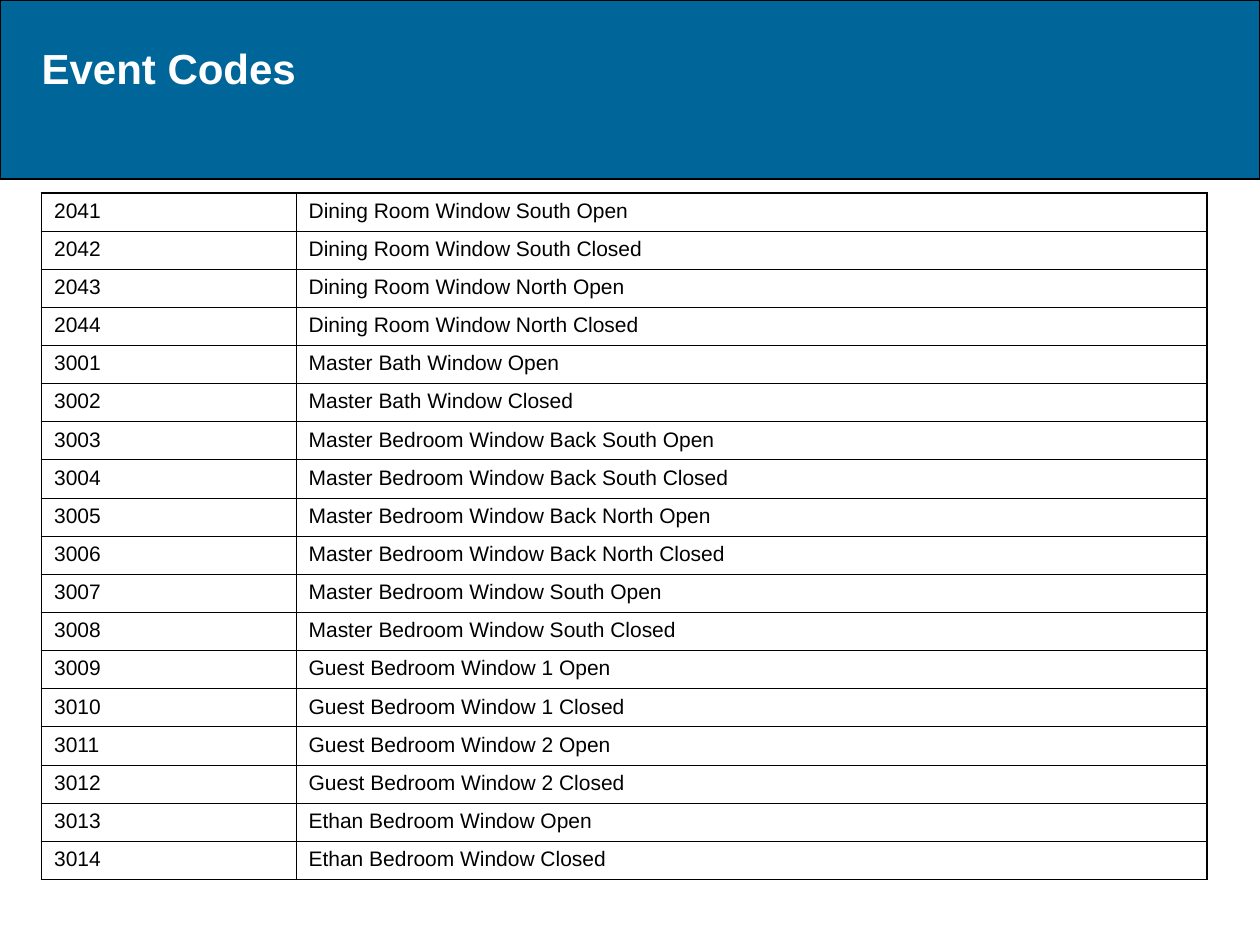
from lxml import etree
from pptx import Presentation
from pptx.dml.color import RGBColor
from pptx.enum.shapes import MSO_SHAPE
from pptx.enum.text import MSO_ANCHOR, MSO_AUTO_SIZE, PP_ALIGN
from pptx.oxml.ns import qn
from pptx.util import Inches, Pt

RECTANGLE = MSO_SHAPE.RECTANGLE
TOP = MSO_ANCHOR.TOP
NO_AUTOFIT = MSO_AUTO_SIZE.NONE
LEFT = PP_ALIGN.LEFT
TITLE_ONLY = 5

WIDTH, HEIGHT = 10, 7.5
ROW_HEIGHT = 0.303
COLUMN_WIDTHS = (2.02, 7.23)

ROOM_WINDOWS = (
    (2041, "Dining Room Window South"),
    (2043, "Dining Room Window North"),
    (3001, "Master Bath Window"),
    (3003, "Master Bedroom Window Back South"),
    (3005, "Master Bedroom Window Back North"),
    (3007, "Master Bedroom Window South"),
    (3009, "Guest Bedroom Window 1"),
    (3011, "Guest Bedroom Window 2"),
    (3013, "Ethan Bedroom Window"),
)
EVENTS = [
    (str(code + offset), f"{window} {state}")
    for code, window in ROOM_WINDOWS
    for offset, state in enumerate(("Open", "Closed"))
]


def color(value):
    return RGBColor.from_string(value)


class SlideBuilder:
    font_name = "Arial"
    black = "000000"
    white = "FFFFFF"
    blue = "006699"
    thick, thin = 1.08, 0.45

    def __init__(self, presentation):
        self.presentation = presentation
        self.slide = presentation.slides.add_slide(
            presentation.slide_layouts[TITLE_ONLY]
        )

    def box(self, left, top, width, height):
        slide_width = self.presentation.slide_width
        slide_height = self.presentation.slide_height
        return (
            round(left * slide_width),
            round(top * slide_height),
            round(width * slide_width),
            round(height * slide_height),
        )

    def style(self, paragraph, size, value, bold=False):
        paragraph.alignment = LEFT
        font = paragraph.font
        font.name, font.size, font.bold = self.font_name, Pt(size), bold
        font.color.rgb = color(value)

    def title(self, text, left, top, width, height):
        shape = self.slide.shapes.title
        shape.left, shape.top, shape.width, shape.height = self.box(
            left, top, width, height
        )
        frame = shape.text_frame
        frame.text = text
        frame.word_wrap = True
        frame.auto_size = NO_AUTOFIT
        frame.vertical_anchor = TOP
        self.style(frame.paragraphs[0], 24, self.white, bold=True)

    def header_band(self, height):
        band = self.slide.shapes.add_shape(RECTANGLE, *self.box(0, 0, 1, height))
        band.shadow.inherit = False
        band.fill.solid()
        band.fill.fore_color.rgb = color(self.blue)
        band.line.color.rgb = color(self.black)
        band.line.width = Pt(1)
        self.slide.shapes.title.element.addprevious(band.element)

    def borders(self, cell, outer_sides):
        properties = cell._tc.get_or_add_tcPr()
        for side in "LRTB":
            width = self.thick if side in outer_sides else self.thin
            line = etree.SubElement(properties, qn(f"a:ln{side}"), w=str(Pt(width)))
            fill = etree.SubElement(line, qn("a:solidFill"))
            etree.SubElement(fill, qn("a:srgbClr"), val=self.black)

    def table(self, rows, column_widths, row_height, left, top):
        width, height = sum(column_widths), row_height * len(rows)
        table = self.slide.shapes.add_table(
            len(rows),
            len(column_widths),
            *self.box(left, top, width / WIDTH, height / HEIGHT),
        ).table
        table.first_row = table.horz_banding = False
        for column, column_width in zip(table.columns, column_widths):
            column.width = Inches(column_width)
        for row_index, values in enumerate(rows):
            table.rows[row_index].height = Inches(row_height)
            for column_index, text in enumerate(values):
                cell = table.cell(row_index, column_index)
                cell.text = text
                self.style(cell.text_frame.paragraphs[0], 12, self.black)
                outer_sides = "L" if column_index == 0 else "R"
                if row_index == 0:
                    outer_sides += "T"
                if row_index == len(rows) - 1:
                    outer_sides += "B"
                self.borders(cell, outer_sides)
                cell.fill.background()


def main():
    presentation = Presentation()
    presentation.slide_width = Inches(WIDTH)
    presentation.slide_height = Inches(HEIGHT)
    builder = SlideBuilder(presentation)
    builder.title("Event Codes", 0.023, 0.29 / HEIGHT, 0.943, 0.5 / HEIGHT)
    builder.header_band(1.42 / HEIGHT)
    builder.table(EVENTS, COLUMN_WIDTHS, ROW_HEIGHT, 0.033, 1.53 / HEIGHT)
    presentation.save("out.pptx")


if __name__ == "__main__":
    main()
